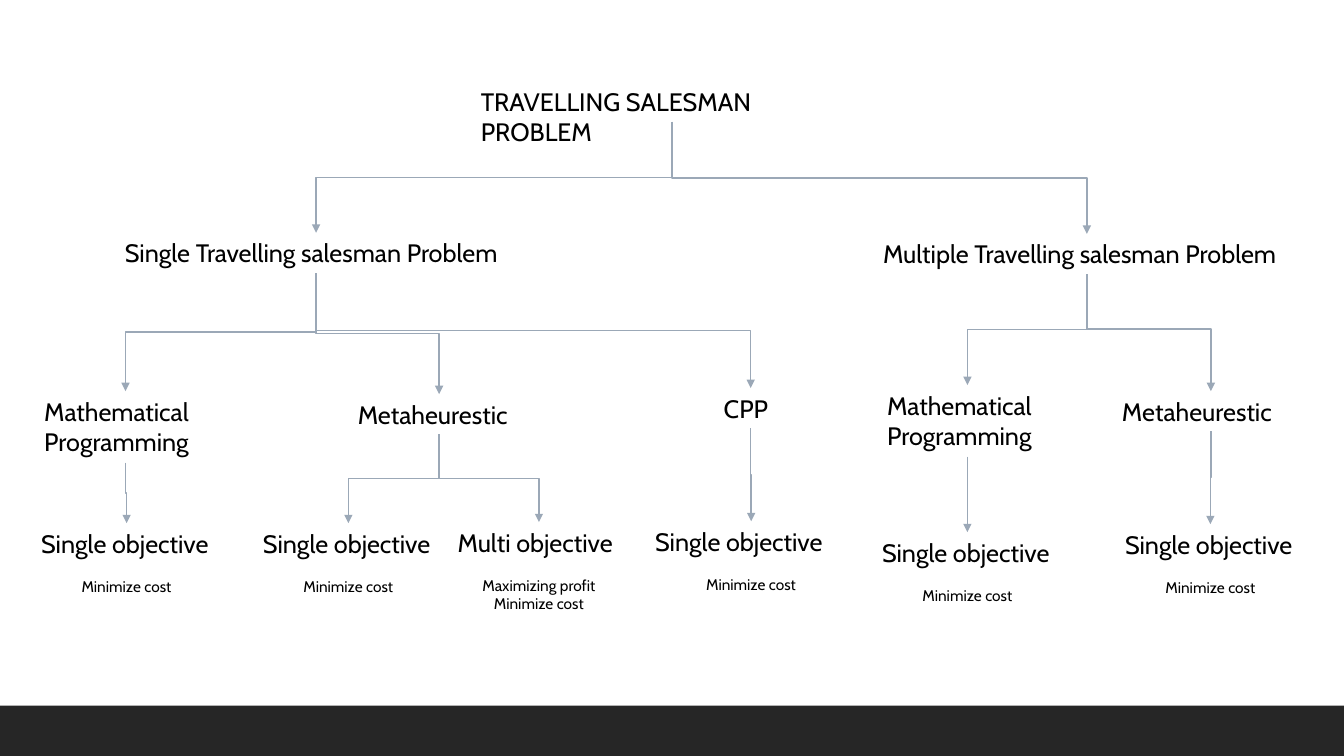
from lxml.etree import SubElement
from pptx import Presentation
from pptx.dml.color import RGBColor
from pptx.enum.shapes import MSO_CONNECTOR, MSO_SHAPE
from pptx.enum.text import MSO_AUTO_SIZE, PP_ALIGN
from pptx.oxml.ns import qn
from pptx.util import Inches, Pt

COLORS = {"text": "000000", "link": "9BA8B7", "footer": "262626"}
FONT = "Cabin"
SLIDE_W, SLIDE_H, FOOTER_H = 13.33, 7.5, 0.5

# key: (left, top, width, height, heading, goals)
NODES = {
    "root": (4.67, 0.81, 3.99, 0.4, "TRAVELLING SALESMAN PROBLEM", []),
    "single": (1.14, 2.31, 3.99, 0.4, "Single Travelling salesman Problem", []),
    "multiple": (8.66, 2.32, 4.24, 0.4, "Multiple Travelling salesman Problem", []),
    "single math": (0.34, 3.88, 1.81, 0.71, "Mathematical Programming", []),
    "single meta": (3.45, 3.91, 1.81, 0.4, "Metaheurestic", []),
    "single cpp": (7.08, 3.85, 0.73, 0.4, "CPP", []),
    "multiple math": (8.7, 3.82, 1.79, 0.71, "Mathematical Programming", []),
    "multiple meta": (11.03, 3.88, 1.96, 0.4, "Metaheurestic", []),
    "math goal": (0.31, 5.19, 1.89, 0.77, "Single objective", ["Minimize cost"]),
    "meta goal": (2.51, 5.19, 1.89, 0.77, "Single objective", ["Minimize cost"]),
    "meta goals": (4.44, 5.18, 1.81, 0.96, "Multi objective",
                   ["Maximizing profit", "Minimize cost"]),
    "cpp goal": (6.4, 5.17, 2.1, 0.77, "Single objective", ["Minimize cost"]),
    "multiple math goal": (8.65, 5.28, 1.89, 0.77, "Single objective", ["Minimize cost"]),
    "multiple meta goal": (11.06, 5.2, 1.89, 0.77, "Single objective", ["Minimize cost"]),
}

# parent: {child: share of the drop above the bend}
BRANCHES = {
    "root": {"single": 0.5, "multiple": 0.5},
    "single": {"single math": 0.5, "single meta": 0.5, "single cpp": 0.5},
    "multiple": {"multiple math": 0.5, "multiple meta": 0.47},
    "single math": {"math goal": 0.5},
    "single meta": {"meta goal": 0.5, "meta goals": 0.5},
    "single cpp": {"cpp goal": 0.5},
    "multiple math": {"multiple math goal": 0.5},
    "multiple meta": {"multiple meta goal": 0.5},
}


def color(name):
    return RGBColor.from_string(COLORS[name])


def style(paragraph, size):
    paragraph.font.name = FONT
    paragraph.font.size = Pt(size)
    paragraph.font.color.rgb = color("text")


def add_node(slide, left, top, width, height, heading, goals):
    node = slide.shapes.add_textbox(*map(Inches, (left, top, width, height)))
    frame = node.text_frame
    frame.word_wrap = True
    frame.auto_size = MSO_AUTO_SIZE.SHAPE_TO_FIT_TEXT
    frame.paragraphs[0].text = heading
    style(frame.paragraphs[0], 18)
    for i, goal in enumerate(goals):
        line = frame.add_paragraph()
        line.text = goal
        line.alignment = PP_ALIGN.CENTER
        line.space_before = Pt(0 if i else 13.4)
        style(line, 11)


def add_branch(slide, parent, child, bend):
    """Elbow arrow from the parent's bottom centre to the child's top centre."""
    x1, y1 = parent[0] + parent[2] / 2, parent[1] + parent[3]
    x2, y2 = child[0] + child[2] / 2, child[1]
    # An elbow leaves sideways, so it is laid flat and turned to leave downwards
    mid_x, mid_y = (x1 + x2) / 2, (y1 + y2) / 2
    half_w, half_h = (y2 - y1) / 2, abs(x2 - x1) / 2
    to_right = x2 > x1
    side = -1 if to_right else 1
    branch = slide.shapes.add_connector(
        MSO_CONNECTOR.ELBOW,
        Inches(mid_x - side * half_w), Inches(mid_y - half_h),
        Inches(mid_x + side * half_w), Inches(mid_y + half_h))
    branch.line.color.rgb = color("link")
    branch.line.width = Pt(1)

    props = branch._element.spPr
    props.find(qn("a:xfrm")).set("rot", str((270 if to_right else 90) * 60000))
    guides = props.find(qn("a:prstGeom")).find(qn("a:avLst"))
    SubElement(guides, qn("a:gd"), name="adj1", fmla=f"val {round(bend * 100000)}")
    SubElement(props.find(qn("a:ln")), qn("a:tailEnd"), type="triangle")
    SubElement(props, qn("a:effectLst"))


def main():
    deck = Presentation()
    deck.slide_width, deck.slide_height = Inches(SLIDE_W), Inches(SLIDE_H)
    slide = deck.slides.add_slide(deck.slide_layouts[6])

    # Footer band
    footer = slide.shapes.add_shape(
        MSO_SHAPE.RECTANGLE, 0, Inches(SLIDE_H - FOOTER_H), Inches(SLIDE_W), Inches(FOOTER_H))
    footer.shadow.inherit = False
    footer.fill.solid()
    footer.fill.fore_color.rgb = color("footer")
    footer.line.fill.background()

    # Tree
    for node in NODES.values():
        add_node(slide, *node)
    for parent, children in BRANCHES.items():
        for child, bend in children.items():
            add_branch(slide, NODES[parent], NODES[child], bend)

    deck.save("out.pptx")


if __name__ == "__main__":
    main()
